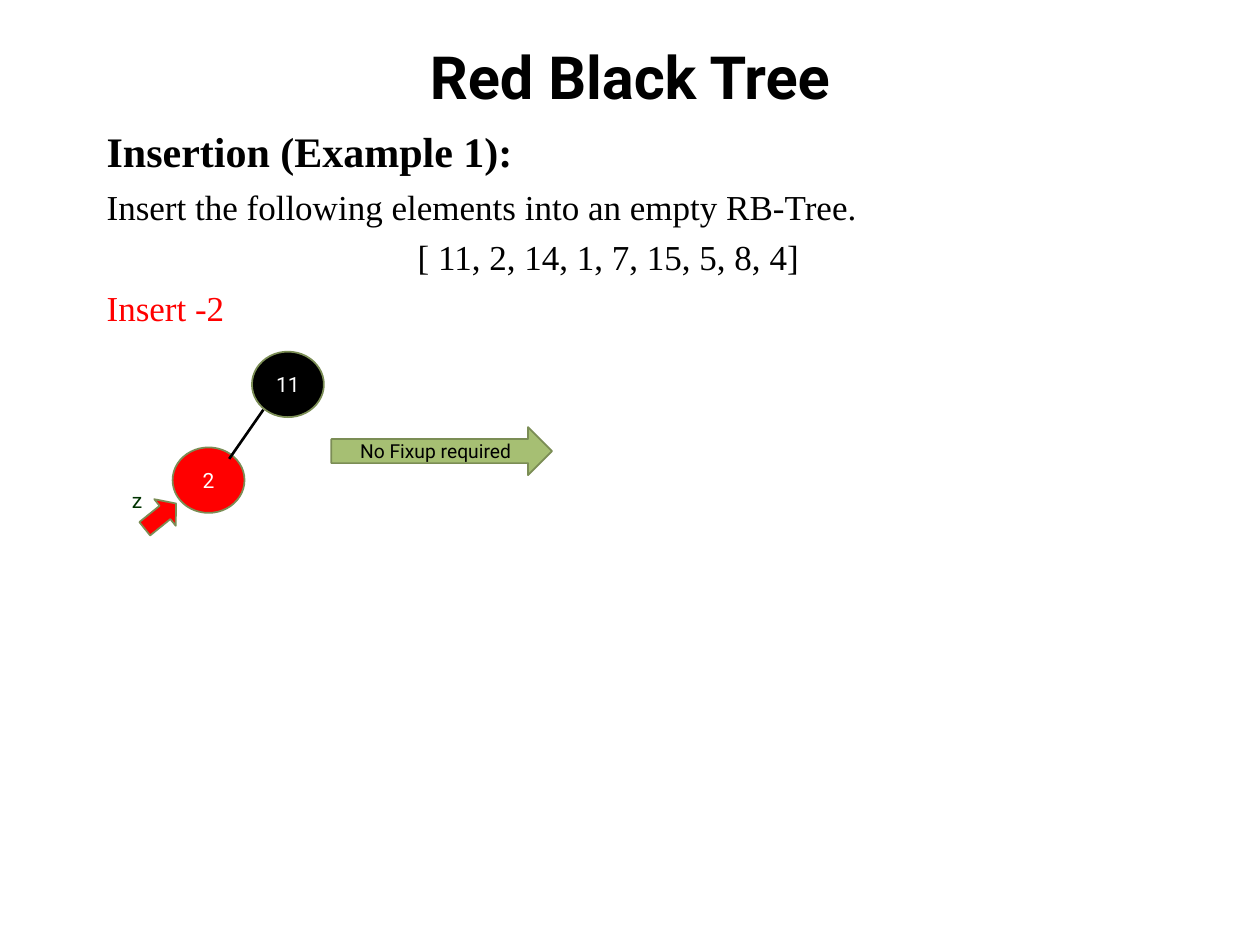
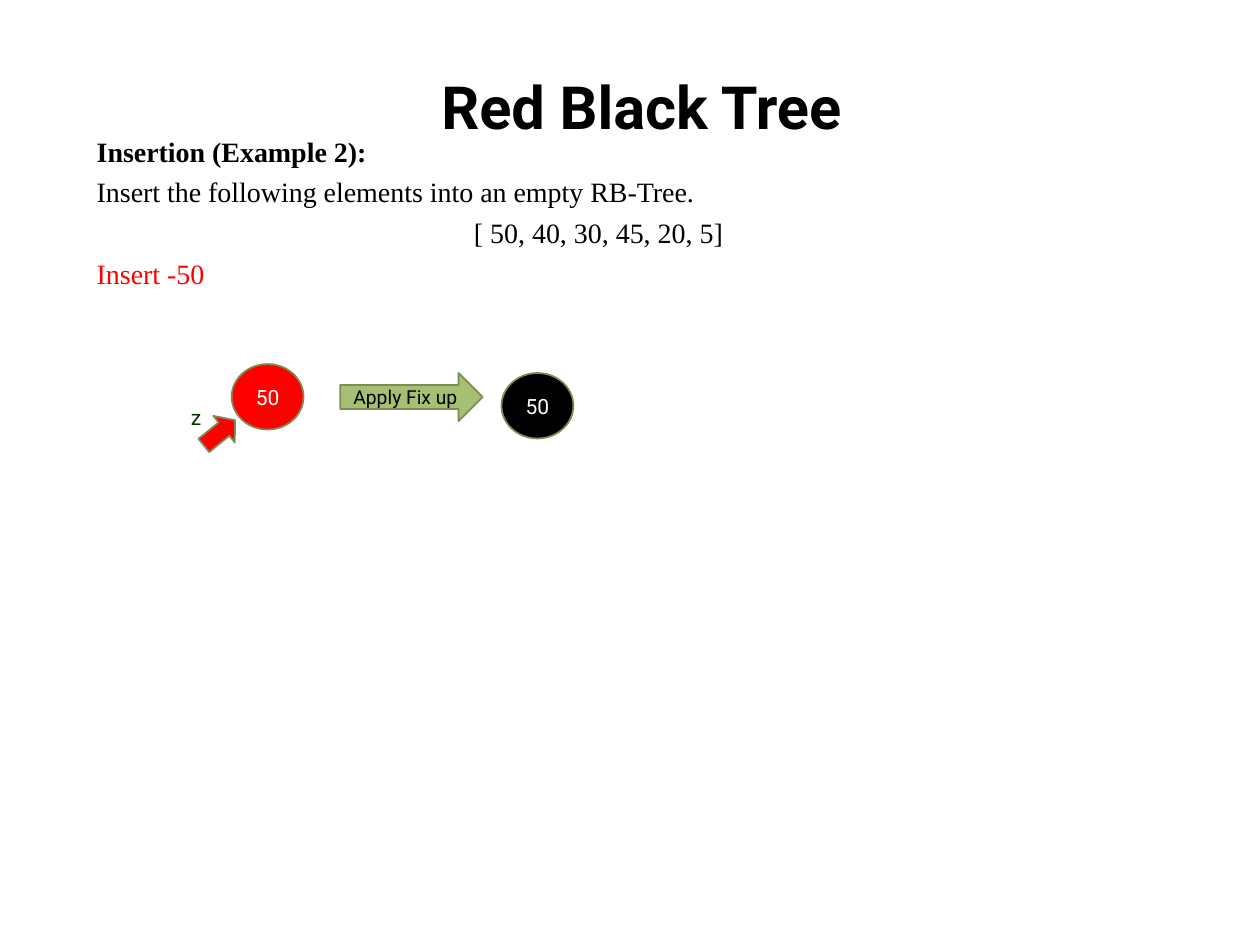
from dataclasses import dataclass

from lxml import etree
from pptx import Presentation
from pptx import util as u
from pptx.dml.color import RGBColor
from pptx.enum import shapes, text
from pptx.oxml.ns import qn

TITLE_ONLY = 5
NODE_W, NODE_H = 1.45, 1.32


@dataclass(frozen=True)
class Theme:
    sans: str = "Roboto"
    serif: str = "Times New Roman"
    black: str = "000000"
    red: str = "FF0000"
    white: str = "FFFFFF"
    green: str = "A6BF73"
    outline: str = "7B8D55"
    label: str = "003300"
    title_pt: int = 34
    node_pt: int = 12
    step_pt: int = 11
    outline_pt: float = 1
    edge_pt: float = 1.5
    para_gap: float = 0.25  # share of the type size


class Deck:
    def __init__(self, theme):
        self.theme = theme
        self.prs = Presentation()
        self.prs.slide_width, self.prs.slide_height = u.Cm(25.4), u.Cm(19.05)
        self.s = None

    def font(self, p, name, size, color, bold=False):
        p.font.name, p.font.size, p.font.bold = name, u.Pt(size), bold
        p.font.color.rgb = RGBColor.from_string(color)

    def slide(self, title, x, y):
        t = self.theme
        self.s = self.prs.slides.add_slide(self.prs.slide_layouts[TITLE_ONLY])
        sp = self.s.shapes.title
        sp.left, sp.top, sp.width, sp.height = map(u.Cm, (x, y, 22.86, 2.01))
        tf = sp.text_frame
        tf.text = title
        tf.vertical_anchor = text.MSO_ANCHOR.MIDDLE
        p = tf.paragraphs[0]
        p.alignment = text.PP_ALIGN.CENTER
        self.font(p, t.sans, t.title_pt, t.black, bold=True)

    def textbox(self, x, y, w, h):
        sp = self.s.shapes.add_textbox(*map(u.Cm, (x, y, w, h)))
        return sp.text_frame

    def task(self, x, y, h, heading, values, step, heading_pt, body_pt):
        """Heading, instruction, list of keys and the current step."""
        t, al = self.theme, text.PP_ALIGN
        tf = self.textbox(x, y, 20.73, h)
        tf.word_wrap = True
        tf.margin_top = u.Cm(0.2)
        lines = [
            (heading, al.JUSTIFY, heading_pt, t.black),
            ("Insert the following elements into an empty RB-Tree.",
             al.JUSTIFY, body_pt, t.black),
            (values, al.CENTER, body_pt, t.black),
            (step, al.LEFT, body_pt, t.red),
        ]
        for i, (line, align, size, color) in enumerate(lines):
            p = tf.add_paragraph() if i else tf.paragraphs[0]
            p.text, p.alignment = line, align
            if i:
                p.space_before = u.Pt(size * t.para_gap)
            self.font(p, t.serif, size, color, bold=i == 0)

    def shape(self, kind, x, y, w, h, fill):
        t = self.theme
        sp = self.s.shapes.add_shape(kind, *map(u.Cm, (x, y, w, h)))
        sp.shadow.inherit = False
        sp.fill.solid()
        sp.fill.fore_color.rgb = RGBColor.from_string(fill)
        sp.line.color.rgb = RGBColor.from_string(t.outline)
        sp.line.width = u.Pt(t.outline_pt)
        return sp

    def caption(self, sp, words, size, color):
        tf = sp.text_frame
        tf.margin_left = tf.margin_right = tf.margin_top = tf.margin_bottom = 0
        tf.vertical_anchor = text.MSO_ANCHOR.MIDDLE
        p = tf.paragraphs[0]
        p.text, p.alignment = words, text.PP_ALIGN.CENTER
        self.font(p, self.theme.sans, size, color)

    def node(self, x, y, key, fill):
        t = self.theme
        sp = self.shape(shapes.MSO_SHAPE.OVAL, x, y, NODE_W, NODE_H, fill)
        self.caption(sp, key, t.node_pt, t.white)

    def new_node(self, x, y, key):
        """Red node with the z pointer at its lower left."""
        t = self.theme
        self.node(x, y, key, t.red)
        tf = self.textbox(x - 1.07, y + 0.69, 0.69, 0.76)
        tf.word_wrap = False
        tf.text = "z"
        self.font(tf.paragraphs[0], t.sans, t.node_pt, t.label)
        sp = self.shape(shapes.MSO_SHAPE.RIGHT_ARROW,
                        x - 0.65, y + 1.04, 0.81, 0.69, t.red)
        sp.adjustments[1] = 0.415
        sp.rotation = 321

    def step_arrow(self, x, y, w, words):
        t = self.theme
        sp = self.shape(shapes.MSO_SHAPE.RIGHT_ARROW, x, y, w, 0.97, t.green)
        self.caption(sp, words, t.step_pt, t.black)

    def edge(self, x1, y1, x2, y2):
        t = self.theme
        sp = self.s.shapes.add_connector(
            shapes.MSO_CONNECTOR.STRAIGHT, *map(u.Cm, (x1, y1, x2, y2)))
        sp.line.color.rgb = RGBColor.from_string(t.black)
        sp.line.width = u.Pt(t.edge_pt)
        etree.SubElement(sp._element.spPr, qn("a:effectLst"))


def main():
    theme = Theme()
    deck = Deck(theme)

    deck.slide("Red Black Tree", 1.27, 0.53)
    deck.task(1.9, 2.34, 4.55, "Insertion (Example 1):",
              "[ 11, 2, 14, 1, 7, 15, 5, 8, 4]", "Insert -2", 24, 20)
    deck.step_arrow(6.68, 8.61, 4.45, "No Fixup required")
    deck.new_node(3.48, 9.02, "2")
    deck.node(5.08, 7.09, "11", theme.black)
    deck.edge(5.31, 8.26, 4.62, 9.25)

    deck.slide("Red Black Tree", 1.5, 1.12)
    deck.task(1.7, 2.51, 3.4, "Insertion (Example 2):",
              "[ 50, 40, 30, 45, 20, 5]", "Insert -50", 16, 16)
    deck.new_node(4.67, 7.34, "50")
    deck.step_arrow(6.86, 7.52, 2.87, "Apply Fix up")
    deck.node(10.11, 7.52, "50", theme.black)

    deck.prs.save("out.pptx")


if __name__ == "__main__":
    main()
